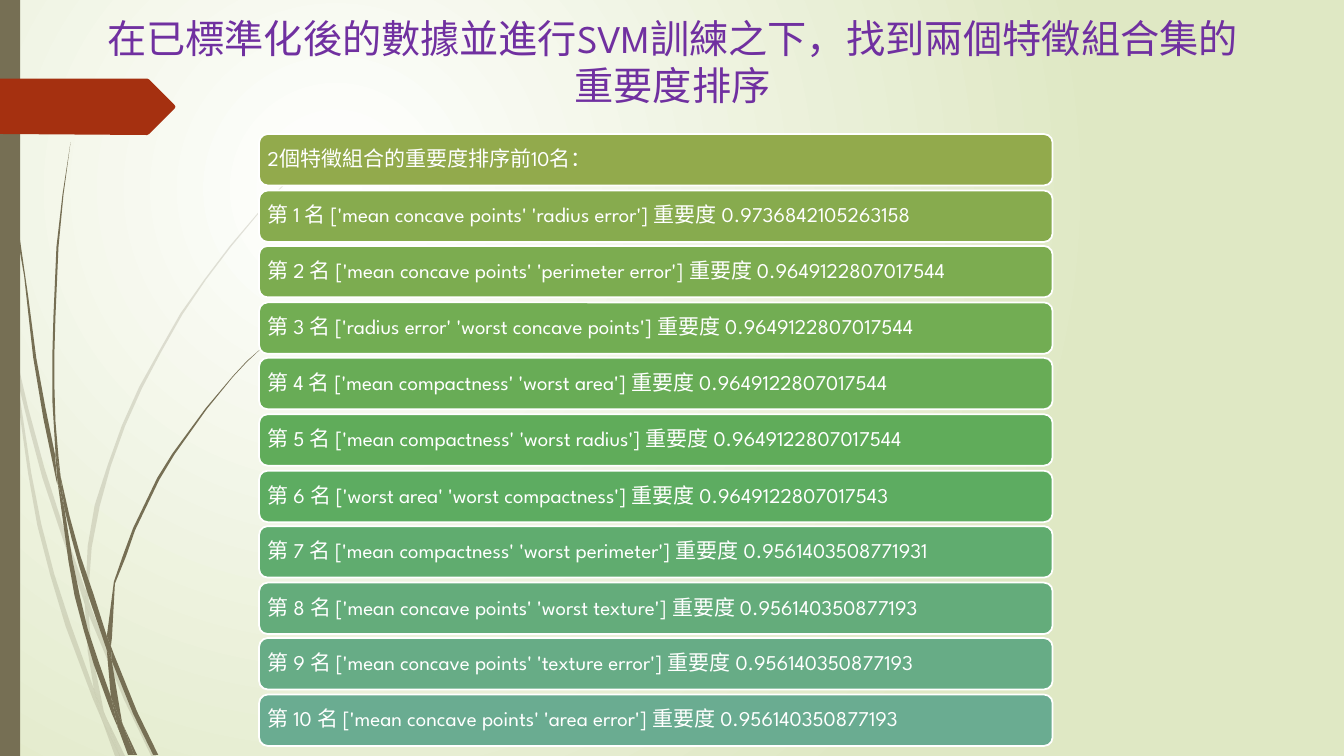
from lxml.etree import SubElement
from pptx import Presentation
from pptx.dml.color import RGBColor
from pptx.enum.shapes import MSO_SHAPE as Shape
from pptx.enum.text import MSO_ANCHOR as Anchor, PP_ALIGN as Align
from pptx.oxml.ns import qn
from pptx.util import Pt

PX = 9144
FONT = "League Spartan"
BROWN = "766F54"
TITLE = "在已標準化後的數據並進行SVM訓練之下，找到兩個特徵組合集的重要度排序"
HEADING = "2個特徵組合的重要度排序前10名："
RANKING = [
    ("mean concave points", "radius error", "0.9736842105263158"),
    ("mean concave points", "perimeter error", "0.9649122807017544"),
    ("radius error", "worst concave points", "0.9649122807017544"),
    ("mean compactness", "worst area", "0.9649122807017544"),
    ("mean compactness", "worst radius", "0.9649122807017544"),
    ("worst area", "worst compactness", "0.9649122807017543"),
    ("mean compactness", "worst perimeter", "0.9561403508771931"),
    ("mean concave points", "worst texture", "0.956140350877193"),
    ("mean concave points", "texture error", "0.956140350877193"),
    ("mean concave points", "area error", "0.956140350877193"),
]
BAR_COLORS = ["92AA4C", "87AB4E", "7CAC50", "72AD53", "68AC56", "60AC5A",
              "5DAC61", "60AC6F", "64AC7B", "67AC86", "6AAC91"]
PALE_STRANDS = [
    "11,350 9,322 0,282 0,299 10,344",
    "58,522 84,599 85,586 62,520 44,464 28,405 14,345 17,376 29,425 42,474",
    "92,607 88,596 88,610 123,694 150,750 155,750 127,692",
    "119,750 124,750 105,711",
    "93,683 70,619 54,570 41,520 31,469 17,376 11,350 28,470 37,521 50,571 65,621 92,693 101,714 99,707",
    "84,599 87,646 93,683 96,692 105,711 103,706 91,646 88,610 88,608",
    "88,584 91,543 99,502 110,462 124,423 141,385 160,349 181,312 204,278 229,245 268,198 290,175 312,153 "
    "289,175 268,197 228,244 203,277 179,311 158,348 138,384 121,422 107,461 94,501 87,542 85,586 88,596",
    "101,714 114,750 119,750",
    "88,608 88,610 88,596 85,586 84,599",
    "96,692 93,683 99,707 101,714 119,750 105,711",
]
DARK_STRANDS = [
    "7,110 11,151 17,233 24,274 33,355 43,415 56,477 57,481 55,457 55,453 45,404 36,355 28,294 19,232 "
    "13,171 8,109 5,48 4,0 3,0 4,48",
    "88,592 106,645 106,633 106,631 93,590 80,552 69,512 60,472 64,505 71,534 79,563",
    "113,649 110,641 111,656 132,708 152,749 157,749 136,706",
    "110,691 98,657 87,624 79,590 72,556 64,505 57,477 68,557 74,591 83,625 93,659 111,708 117,722 116,717",
    "60,472 58,453 55,418 54,384 54,349 55,314 58,245 63,193 70,141 62,193 56,245 53,314 52,349 "
    "52,399 55,449",
    "133,749 136,749 122,719",
    "57,477 64,505 60,472 55,449 55,453",
    "111,633 114,579 125,552 134,526 158,476 173,451 205,406 231,374 245,359 261,344 245,358 231,373 "
    "204,405 171,450 156,474 132,524 122,551 113,577 106,631 110,641",
    "117,722 127,749 131,749",
    "106,645 110,691 116,706 122,719 121,716 111,656 109,651",
    "106,645 109,651 111,656 110,641 106,631 106,633",
    "116,706 110,691 116,717 117,722 130,749 133,749 122,719",
]
TAG = "0,78 146,78 148,79 173,104 174,106 173,108 148,133 146,134 0,133"


def color(value):
    """Turn a hex string into a colour."""
    return RGBColor.from_string(value)


def paint(shape, value, alpha=100):
    """Give a shape a plain fill with no line or shadow."""
    shape.shadow.inherit = False
    shape.fill.solid()
    shape.fill.fore_color.rgb = color(value)
    shape.line.fill.background()
    if alpha < 100:
        tone = shape.element.spPr.find(".//" + qn("a:srgbClr"))
        SubElement(tone, qn("a:alpha"), val=str(alpha * 1000))


def write(frame, words, size, value, align):
    """Write one run into the first paragraph of a text frame."""
    frame.word_wrap = True
    para = frame.paragraphs[0]
    para.alignment = align
    span = para.add_run()
    span.text = words
    span.font.name, span.font.size = FONT, Pt(size)
    span.font.color.rgb = color(value)
    return para


def outline(shapes, left, top, corners, value, alpha=100):
    """Draw a closed filled polygon through corners given in px from left and top."""
    pairs = [tuple(map(int, corner.split(","))) for corner in corners.split()]
    points = [((left + x) * PX, (top + y) * PX) for x, y in pairs]
    builder = shapes.build_freeform(*points[0], scale=1.0)
    builder.add_line_segments(points[1:], close=True)
    paint(builder.convert_to_shape(), value, alpha)


def draw_background(page):
    """Fill the page with a glow centred in its upper left."""
    fill = page.background.fill
    fill.gradient()
    for stop, value in zip(fill.gradient_stops, ("FFFFFF", "DFE8C4")):
        stop.color.rgb = color(value)
    gradient = page.element.find(".//" + qn("a:gradFill"))
    gradient.remove(gradient.find(qn("a:lin")))
    glow = SubElement(gradient, qn("a:path"), path="circle")
    SubElement(glow, qn("a:fillToRect"), l="50000", t="50000", r="100000", b="100000")


def draw_grass(page, left, top, strands, alpha):
    """Draw one group of curved grass strands."""
    group = page.shapes.add_group_shape()
    for strand in strands:
        outline(group.shapes, left, top, strand, BROWN, alpha)


def draw_edge(page, left, top, width, height):
    """Draw the brown strip and the red tag that starts on it."""
    strip = page.shapes.add_shape(Shape.RECTANGLE, left * PX, top * PX, width * PX, height * PX)
    paint(strip, BROWN)
    outline(page.shapes, left, top, TAG, "A53010")


def draw_title(page, left, top, width, height):
    """Write the centred title."""
    box = page.shapes.add_textbox(left * PX, top * PX, width * PX, height * PX)
    box.text_frame.vertical_anchor = Anchor.TOP
    write(box.text_frame, TITLE, 28, "7030A0", Align.CENTER)


def draw_ranking(page, left, top, width, height, bar_height=51):
    """Stack the heading and the ranked pairs as bars filling the box."""
    lines = [HEADING] + [f"第 {rank} 名 ['{one}' '{two}'] 重要度 {score}"
                         for rank, (one, two, score) in enumerate(RANKING, 1)]
    pitch = (height - bar_height) / (len(lines) - 1)
    for index, (words, value) in enumerate(zip(lines, BAR_COLORS)):
        bar = page.shapes.add_shape(Shape.ROUNDED_RECTANGLE, left * PX, round(top + index * pitch) * PX,
                                    width * PX, bar_height * PX)
        paint(bar, value)
        bar.line.color.rgb = color("FFFFFF")
        bar.line.width = Pt(1.25)
        frame = bar.text_frame
        frame.vertical_anchor = Anchor.MIDDLE
        frame.margin_left = frame.margin_right = 6 * PX
        frame.margin_top = frame.margin_bottom = 6 * PX
        write(frame, words, 15, "FFFFFF", Align.LEFT).line_spacing = 0.9


def main():
    """Build and save the slide."""
    deck = Presentation()
    deck.slide_width, deck.slide_height = 1333 * PX, 750 * PX
    page = deck.slides.add_slide(deck.slide_layouts[6])
    draw_background(page)
    draw_grass(page, 0, 0, PALE_STRANDS, 20)
    draw_grass(page, 0, 0, DARK_STRANDS, 100)
    draw_edge(page, 0, 0, 20, 750)
    draw_title(page, 92, 9, 1150, 145)
    draw_ranking(page, 257, 133, 787, 607)
    deck.save("out.pptx")


if __name__ == "__main__":
    main()
